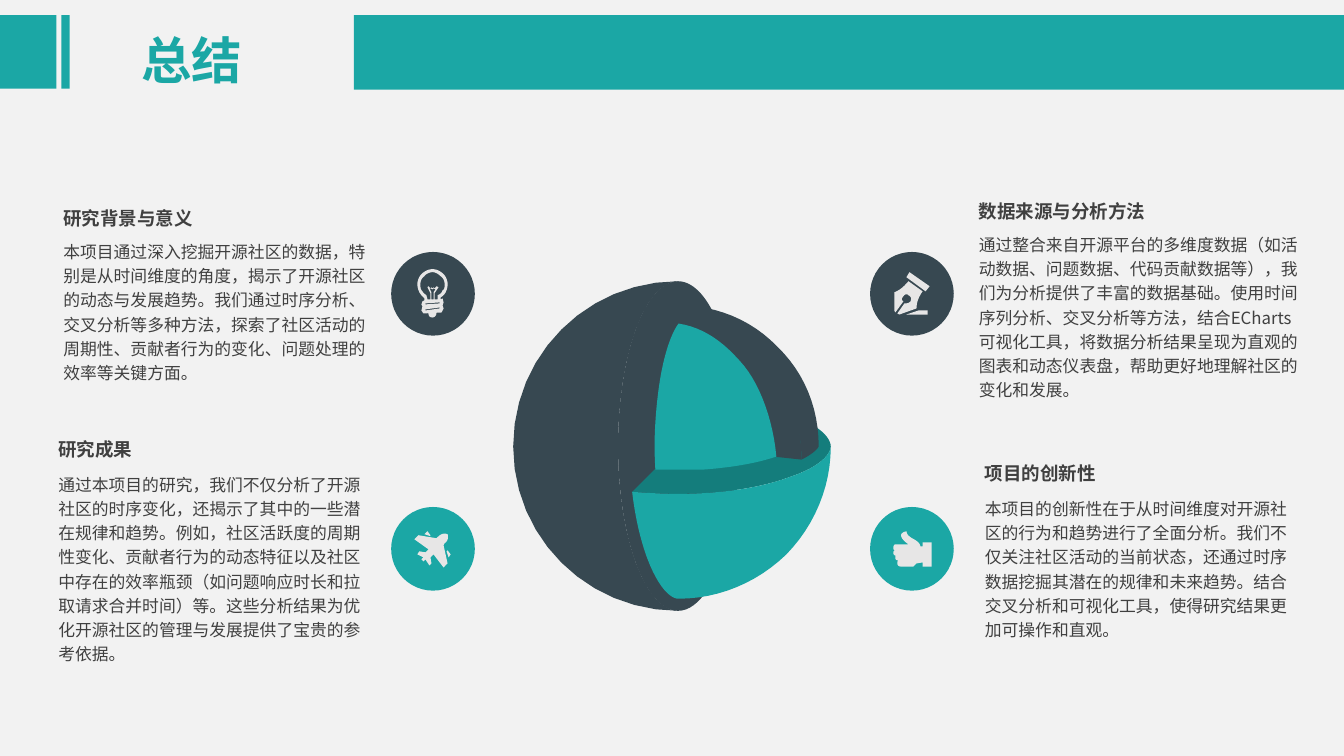
from pptx import Presentation
from pptx.dml.color import RGBColor
from pptx.enum import shapes, text
from pptx.oxml import ns
from pptx.util import Inches, Pt
from lxml import etree

TEAL = RGBColor(0x1B, 0xA7, 0xA5)
DEEP_TEAL = RGBColor(0x14, 0x7D, 0x7C)
SLATE = RGBColor(0x37, 0x48, 0x51)
ICON_GREY = RGBColor(0xE7, 0xE6, 0xE6)
TEXT_GREY = RGBColor(0x40, 0x40, 0x40)
PAPER = RGBColor(0xF2, 0xF2, 0xF2)
FONT = "Noto Sans CJK SC"
CURVE_STEPS = 12

# Outlines in inches: a pair is a corner, six numbers are a Bezier curve
GLOBE = [
    (SLATE, [[(6.13, 4.43), (6.13, 3.52, 6.4, 2.79, 6.73, 2.79),
              (5.82, 2.79, 5.09, 3.52, 5.09, 4.43), (5.09, 5.33, 5.82, 6.06, 6.73, 6.06),
              (6.4, 6.06, 6.13, 5.33, 6.13, 4.43)]]),
    (DEEP_TEAL, [[(7.84, 4.12), (7.66, 4.05, 7.43, 4, 7.18, 3.97), (6.27, 4.88),
                  (6.42, 4.89, 6.57, 4.9, 6.73, 4.9), (7.15, 4.9, 7.55, 4.84, 7.84, 4.73),
                  (8.14, 4.63, 8.24, 4.5, 8.24, 4.43), (8.24, 4.35, 8.14, 4.22, 7.84, 4.12)]]),
    (TEAL, [[(8.24, 4.43), (8.24, 4.5, 8.14, 4.63, 7.84, 4.73),
             (7.55, 4.84, 7.15, 4.9, 6.73, 4.9), (6.57, 4.9, 6.42, 4.89, 6.27, 4.88),
             (6.3, 5.13, 6.35, 5.35, 6.42, 5.54), (6.53, 5.83, 6.65, 5.94, 6.73, 5.94),
             (7.13, 5.94, 7.51, 5.78, 7.8, 5.5), (8.08, 5.21, 8.24, 4.83, 8.24, 4.43)]]),
    (SLATE, [[(7.56, 3.49), (7.79, 3.78, 7.95, 4.18, 7.95, 4.56),
              (8.07, 4.5, 8.11, 4.45, 8.12, 4.43), (8.12, 4.05, 7.98, 3.7, 7.71, 3.44),
              (7.45, 3.17, 7.1, 3.03, 6.73, 3.03), (7.1, 3.03, 7.48, 3.39, 7.56, 3.49)]]),
    (SLATE, [[(6.73, 3.03), (6.73, 4.43), (7.95, 4.56),
              (7.95, 4.18, 7.82, 3.72, 7.56, 3.46), (7.35, 3.25, 7.1, 3.03, 6.73, 3.03)]]),
    (TEAL, [[(7.7, 4.53), (7.67, 4.19, 7.55, 3.84, 7.38, 3.63),
             (7.18, 3.39, 6.98, 3.25, 6.73, 3.21), (6.7, 3.25, 6.67, 3.31, 6.64, 3.39),
             (6.56, 3.61, 6.52, 3.89, 6.5, 4.19), (6.49, 4.35, 6.49, 4.5, 6.5, 4.66),
             (6.65, 4.66, 6.81, 4.66, 6.96, 4.66), (7.24, 4.64, 7.49, 4.6, 7.7, 4.53)]]),
]
THUMB = [[(8.99, 5.27), (8.86, 5.3, 9.01, 5.4, 9.01, 5.4), (8.88, 5.4),
          (8.87, 5.4, 8.86, 5.42, 8.86, 5.43), (8.86, 5.44, 8.86, 5.46, 8.88, 5.46),
          (8.87, 5.46, 8.86, 5.47, 8.86, 5.48), (8.86, 5.5, 8.87, 5.51, 8.88, 5.51),
          (8.88, 5.53), (8.88, 5.55, 8.89, 5.56, 8.91, 5.56),
          (8.9, 5.57, 8.9, 5.58, 8.9, 5.59), (8.9, 5.6, 8.91, 5.62, 8.93, 5.62),
          (9.06, 5.62), (9.09, 5.59), (9.15, 5.58), (9.15, 5.62), (9.24, 5.62), (9.24, 5.38),
          (9.15, 5.38), (9.15, 5.42), (9.13, 5.42), (9.11, 5.34, 9, 5.35, 8.99, 5.27)]]
PLANE = [[(4.44, 5.3), (4.45, 5.34, 4.44, 5.37, 4.41, 5.39), (4.4, 5.41), (4.44, 5.59),
          (4.4, 5.63), (4.3, 5.5), (4.27, 5.53), (4.28, 5.59), (4.26, 5.61), (4.22, 5.55),
          (4.2, 5.57), (4.18, 5.55), (4.2, 5.53), (4.14, 5.5), (4.16, 5.47), (4.22, 5.48),
          (4.25, 5.45), (4.11, 5.35), (4.15, 5.31), (4.33, 5.34), (4.34, 5.33),
          (4.38, 5.29, 4.41, 5.29, 4.44, 5.3)],
         [(4.47, 5.5), (4.44, 5.46), (4.43, 5.47), (4.45, 5.53)],
         [(4.24, 5.27), (4.21, 5.3), (4.27, 5.32), (4.27, 5.31)]]
PEN = [[(8.88, 3.1), (8.87, 3.08), (8.87, 2.9), (8.92, 2.88, 8.96, 2.85, 9.01, 2.79),
        (9.15, 2.89), (9.11, 2.95, 9.09, 3, 9.09, 3.06), (8.92, 3.12), (8.9, 3.11),
        (8.97, 3.01), (8.99, 3.01, 9.01, 3.01, 9.03, 2.99),
        (9.04, 2.97, 9.04, 2.94, 9.01, 2.93), (9, 2.91, 8.97, 2.92, 8.96, 2.94),
        (8.94, 2.96, 8.94, 2.98, 8.96, 2.99)],
       [(8.99, 3.12), (9.2, 3.12), (9.2, 3.08), (9.11, 3.08)],
       [(9.18, 2.89), (9.22, 2.84), (9.02, 2.7), (8.99, 2.75)]]
BULB = [[(4.29, 2.67), (4.33, 2.67, 4.37, 2.69, 4.4, 2.72), (4.42, 2.74, 4.44, 2.78, 4.44, 2.82),
         (4.44, 2.85, 4.43, 2.88, 4.42, 2.9), (4.41, 2.92, 4.39, 2.94, 4.37, 2.95),
         (4.37, 2.97), (4.39, 2.96), (4.4, 3), (4.39, 3.03), (4.4, 3.06), (4.38, 3.1),
         (4.2, 3.11), (4.18, 3.08), (4.19, 3.04), (4.18, 3.02), (4.19, 2.99), (4.21, 2.98),
         (4.21, 2.96), (4.19, 2.94, 4.17, 2.92, 4.16, 2.9),
         (4.15, 2.88, 4.14, 2.85, 4.14, 2.82), (4.14, 2.78, 4.16, 2.74, 4.18, 2.72),
         (4.21, 2.69, 4.25, 2.67, 4.29, 2.67)],
        [(4.26, 2.85), (4.27, 2.86), (4.28, 2.85), (4.29, 2.86), (4.3, 2.85), (4.31, 2.86),
         (4.33, 2.84), (4.35, 2.85), (4.31, 2.91), (4.31, 2.97), (4.34, 2.97), (4.34, 2.93),
         (4.36, 2.92, 4.38, 2.91, 4.39, 2.88), (4.41, 2.87, 4.41, 2.85, 4.41, 2.82),
         (4.41, 2.79, 4.4, 2.76, 4.37, 2.74), (4.35, 2.72, 4.32, 2.7, 4.29, 2.7),
         (4.26, 2.7, 4.22, 2.72, 4.21, 2.74), (4.18, 2.76, 4.17, 2.79, 4.17, 2.82),
         (4.17, 2.85, 4.17, 2.87, 4.19, 2.89), (4.2, 2.91, 4.22, 2.92, 4.23, 2.93),
         (4.24, 2.97), (4.27, 2.97), (4.27, 2.91), (4.24, 2.85), (4.25, 2.84)],
        [(4.32, 2.87), (4.3, 2.86), (4.29, 2.87), (4.27, 2.86), (4.26, 2.86), (4.28, 2.9),
         (4.28, 2.97), (4.3, 2.97), (4.3, 2.9)],
        [(4.33, 3.1), (4.25, 3.11), (4.25, 3.14, 4.27, 3.15, 4.29, 3.15),
         (4.31, 3.15, 4.33, 3.13, 4.33, 3.1)],
        [(4.36, 3.05), (4.22, 3.07), (4.22, 3.08), (4.36, 3.06)],
        [(4.36, 3), (4.22, 3.01), (4.22, 3.02), (4.36, 3.01)]]

# Badge: left, top, colour, icon outline
BADGES = [(8.63, 5.03, TEAL, THUMB), (3.88, 5.03, TEAL, PLANE),
          (8.63, 2.5, SLATE, PEN), (3.88, 2.5, SLATE, BULB)]

# Text block: left, heading top, body top, width, body height, heading, body
BLOCKS = [
    (9.61, 1.89, 2.24, 3.37, 1.79, "数据来源与分析方法",
     "通过整合来自开源平台的多维度数据（如活动数据、问题数据、代码贡献数据等），我们为分析提供了丰富的数据基础。"
     "使用时间序列分析、交叉分析等方法，结合ECharts可视化工具，将数据分析结果呈现为直观的图表和动态仪表盘，"
     "帮助更好地理解社区的变化和发展。"),
    (9.67, 4.49, 4.86, 3.26, 1.55, "项目的创新性",
     "本项目的创新性在于从时间维度对开源社区的行为和趋势进行了全面分析。我们不仅关注社区活动的当前状态，"
     "还通过时序数据挖掘其潜在的规律和未来趋势。结合交叉分析和可视化工具，使得研究结果更加可操作和直观。"),
    (0.48, 4.25, 4.62, 3.31, 2.04, "研究成果",
     "通过本项目的研究，我们不仅分析了开源社区的时序变化，还揭示了其中的一些潜在规律和趋势。"
     "例如，社区活跃度的周期性变化、贡献者行为的动态特征以及社区中存在的效率瓶颈"
     "（如问题响应时长和拉取请求合并时间）等。这些分析结果为优化开源社区的管理与发展提供了宝贵的参考依据。"),
    (0.53, 1.96, 2.31, 3.22, 1.55, "研究背景与意义",
     "本项目通过深入挖掘开源社区的数据，特别是从时间维度的角度，揭示了开源社区的动态与发展趋势。"
     "我们通过时序分析、交叉分析等多种方法，探索了社区活动的周期性、贡献者行为的变化、问题处理的效率等关键方面。"),
]


def paint(sp, color):
    sp.shadow.inherit = False
    sp.fill.solid()
    sp.fill.fore_color.rgb = color
    sp.line.fill.background()


def add_preset(s, kind, left, top, width, height, color):
    sp = s.shapes.add_shape(kind, Inches(left), Inches(top), Inches(width), Inches(height))
    paint(sp, color)


def flatten(contour):
    """Turn corners and Bezier curves into a list of points in EMU."""
    points = [contour[0]]
    for seg in contour[1:]:
        if len(seg) == 2:
            points.append(seg)
            continue
        ends = [points[-1], seg[:2], seg[2:4], seg[4:]]
        for i in range(1, CURVE_STEPS + 1):
            t = i / CURVE_STEPS
            weights = ((1 - t) ** 3, 3 * t * (1 - t) ** 2, 3 * t * t * (1 - t), t ** 3)
            points.append(tuple(sum(w * e[axis] for w, e in zip(weights, ends))
                                for axis in (0, 1)))
    return [(Inches(x), Inches(y)) for x, y in points]


def add_outline(s, contours, color):
    outlines = [flatten(contour) for contour in contours]
    builder = s.shapes.build_freeform(*outlines[0][0])
    for i, points in enumerate(outlines):
        if i:
            builder.move_to(*points[0])
        builder.add_line_segments(points[1:], close=True)
    paint(builder.convert_to_shape(), color)


def write(tf, wording, size, color, bold=False):
    p = tf.paragraphs[0]
    p.alignment = text.PP_ALIGN.LEFT
    p.line_spacing = 1.2
    r = p.add_run()
    r.text = wording
    r.font.size, r.font.bold, r.font.name = Pt(size), bold, FONT
    r.font.color.rgb = color
    etree.SubElement(r.font._element, ns.qn("a:ea"), typeface=FONT)


def add_text(s, left, top, width, height, wording, size, bold=False):
    sp = s.shapes.add_textbox(Inches(left), Inches(top), Inches(width), Inches(height))
    tf = sp.text_frame
    tf.word_wrap = True
    tf.auto_size = text.MSO_AUTO_SIZE.SHAPE_TO_FIT_TEXT
    write(tf, wording, size, TEXT_GREY, bold)


def set_title(s, wording):
    sp = s.shapes.title
    sp.left, sp.top, sp.width, sp.height = (Inches(v) for v in (1.3, 0.16, 1.23, 0.74))
    tf = sp.text_frame
    tf.word_wrap = True
    tf.auto_size = text.MSO_AUTO_SIZE.NONE
    tf.vertical_anchor = text.MSO_ANCHOR.MIDDLE
    write(tf, wording, 36, TEAL, True)


def main():
    prs = Presentation()
    prs.slide_width, prs.slide_height = Inches(13.33), Inches(7.5)
    s = prs.slides.add_slide(prs.slide_layouts[5])
    s.background.fill.solid()
    s.background.fill.fore_color.rgb = PAPER

    # Header band and title
    for left, width, height in ((0, 0.56, 0.73), (0.61, 0.08, 0.73), (3.51, 9.82, 0.74)):
        add_preset(s, shapes.MSO_SHAPE.RECTANGLE, left, 0.15, width, height, TEAL)
    set_title(s, "总结")

    # Cut-open globe
    add_preset(s, shapes.MSO_SHAPE.OVAL, 6.13, 2.79, 1.19, 3.27, SLATE)
    for color, contours in GLOBE:
        add_outline(s, contours, color)

    # Round icon badges
    for left, top, color, icon in BADGES:
        add_preset(s, shapes.MSO_SHAPE.OVAL, left, top, 0.83, 0.83, color)
        add_outline(s, icon, ICON_GREY)

    # Four text blocks
    for left, head_top, body_top, width, height, heading, body in BLOCKS:
        add_text(s, left, body_top, width, height, body, 12)
        add_text(s, left, head_top, width, 0.37, heading, 13.2, True)

    prs.save("out.pptx")


if __name__ == "__main__":
    main()
